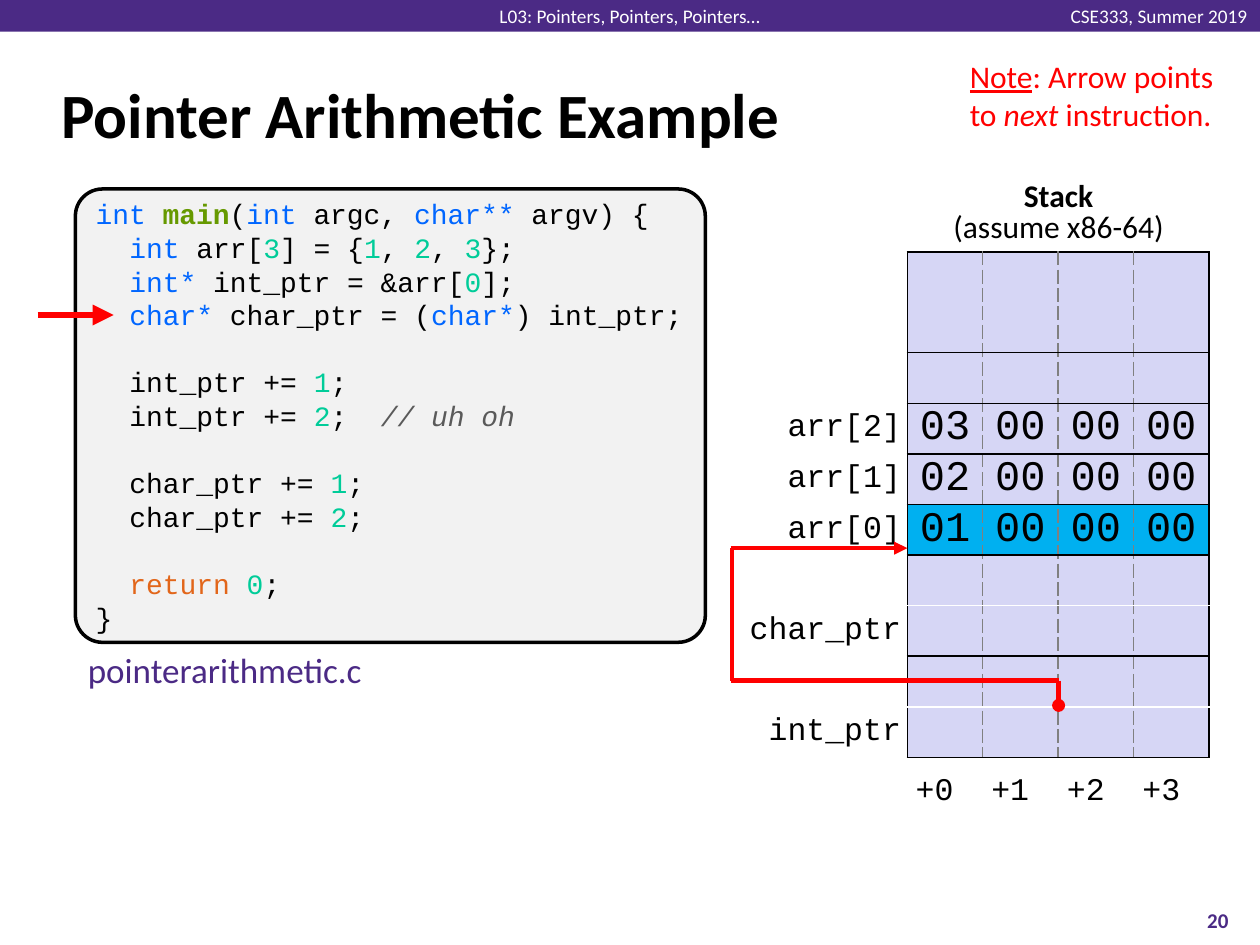
from lxml import etree
from pptx import Presentation, util as u
from pptx.dml.color import RGBColor
from pptx.enum import shapes, text
from pptx.oxml.ns import qn

BLACK = RGBColor(0x00, 0x00, 0x00)
WHITE = RGBColor(0xFF, 0xFF, 0xFF)
PURPLE = RGBColor(0x4B, 0x2A, 0x85)
RED = RGBColor(0xFF, 0x00, 0x00)
GRAY = RGBColor(0x80, 0x80, 0x80)
PANEL = RGBColor(0xF2, 0xF2, 0xF2)
LILAC = RGBColor(0xD6, 0xD6, 0xF5)
SKY = RGBColor(0x00, 0xB0, 0xF0)
BLUE = RGBColor(0x00, 0x66, 0xFF)
GREEN = RGBColor(0x66, 0x99, 0x00)
TEAL = RGBColor(0x00, 0xCC, 0x99)
SLATE = RGBColor(0x5A, 0x5A, 0x5A)
ORANGE = RGBColor(0xE2, 0x66, 0x1A)

LEFT, MID, RIGHT = text.PP_ALIGN.LEFT, text.PP_ALIGN.CENTER, text.PP_ALIGN.RIGHT
MIDDLE = text.MSO_ANCHOR.MIDDLE
MONO = "Courier New"


def write(para, runs, size, color=BLACK, name="Calibri", align=LEFT, **more):
    """Fill a paragraph with (text, format) runs over a shared format."""
    para.alignment = align
    for words, extra in runs:
        run = para.add_run()
        run.text = words
        form = {"name": name, "size": u.Pt(size), "color": color, **more, **extra}
        run.font.color.rgb = form.pop("color")
        for key, val in form.items():
            setattr(run.font, key, val)


def label(box, paras, size, wrap=True, anchor=text.MSO_ANCHOR.TOP, **form):
    """Add a text box at box (cm), one list of runs per paragraph."""
    frame = slide.shapes.add_textbox(*[u.Cm(n) for n in box]).text_frame
    frame.word_wrap, frame.vertical_anchor = wrap, anchor
    for i, runs in enumerate(paras):
        para = frame.add_paragraph() if i else frame.paragraphs[0]
        write(para, runs, size, **form)
    return frame


deck = Presentation()
deck.slide_width, deck.slide_height = u.Cm(25.4), u.Cm(19.05)
slide = deck.slides.add_slide(deck.slide_layouts[6])

# Header band
band = slide.shapes.add_shape(shapes.MSO_SHAPE.RECTANGLE, 0, 0, u.Cm(25.4), u.Cm(0.64))
band.shadow.inherit = False
band.fill.solid()
band.fill.fore_color.rgb = PURPLE
band.line.fill.background()
for left, wide, words, align in [
    (21.28, 4.12, "CSE333, Summer 2019", RIGHT),
    (9.75, 5.9, "L03: Pointers, Pointers, Pointers…", MID),
]:
    frame = label((left, 0.08, wide, 0.48), [[(words, {})]], 11, wrap=False,
                  anchor=MIDDLE, color=WHITE, align=align)
    frame.margin_top = frame.margin_bottom = 0

# Title and page number
label((0.99, 1.22, 23.34, 2.11), [[("Pointer Arithmetic Example", {})]], 36,
      anchor=MIDDLE, bold=True)
label((23.7, 18.03, 1.7, 1.02), [[("20", {})]], 12, anchor=MIDDLE,
      color=PURPLE, align=MID, bold=True)

# Code panel: (indented, gap above, runs)
plain, key, num = {}, {"color": BLUE}, {"color": TEAL}
func = {"color": GREEN, "bold": True}
note = {"color": SLATE, "italic": True}
code = [
    (0, 0, [("int ", key), ("main", func), ("(", plain), ("int ", key),
            ("argc, ", plain), ("char** ", key), ("argv) {", plain)]),
    (1, 0, [("int ", key), ("arr[", plain), ("3", num), ("] = {", plain), ("1", num),
            (", ", plain), ("2", num), (", ", plain), ("3", num), ("};", plain)]),
    (1, 0, [("int* ", key), ("int_ptr = &arr[", plain), ("0", num), ("];", plain)]),
    (1, 0, [("char* ", key), ("char_ptr = (", plain), ("char*", key),
            (") int_ptr;", plain)]),
    (1, 1, [("int_ptr += ", plain), ("1", num), (";", plain)]),
    (1, 0, [("int_ptr += ", plain), ("2", num), (";  ", plain), ("// uh oh", note)]),
    (1, 1, [("char_ptr += ", plain), ("1", num), (";", plain)]),
    (1, 0, [("char_ptr += ", plain), ("2", num), (";", plain)]),
    (1, 1, [("return ", {"color": ORANGE}), ("0", num), (";", plain)]),
    (0, 0, [("}", plain)]),
]
panel = slide.shapes.add_shape(shapes.MSO_SHAPE.ROUNDED_RECTANGLE,
                               u.Cm(1.52), u.Cm(3.81), u.Cm(12.7), u.Cm(9.14))
panel.adjustments[0] = 0.06
panel.shadow.inherit = False
panel.fill.solid()
panel.fill.fore_color.rgb = PANEL
panel.line.color.rgb = BLACK
panel.line.width = u.Pt(2)
frame = panel.text_frame
for side, val in {"margin_top": 0, "margin_right": 0, "margin_bottom": u.Cm(0.13),
                  "vertical_anchor": text.MSO_ANCHOR.TOP}.items():
    setattr(frame, side, val)
for i, (deep, gap, runs) in enumerate(code):
    para = frame.add_paragraph() if i else frame.paragraphs[0]
    para.space_before = u.Cm(0.68 * gap)
    write(para, runs, 16, name=MONO)
    para._p.get_or_add_pPr().set("marL", str(u.Cm(0.68 * deep)))

# Stack table
names = ["", "", "arr[2]", "arr[1]", "arr[0]", "", "char_ptr", "", "int_ptr"]
bytes_ = {2: "03", 3: "02", 4: "01"}
split = {5, 7}  # rows whose lower edge is white, as each pair is one pointer
table = slide.shapes.add_table(9, 5, u.Cm(14.99), u.Cm(5.08),
                               u.Cm(9.4), u.Cm(10.16)).table
table.first_row = table.horz_banding = False
style = table._tbl.tblPr.find(qn("a:tableStyleId"))
style.text = "{2D5ABB26-0587-4C30-8999-92F81FD0307C}"
for c, col in enumerate(table.columns):
    col.width = u.Cm(1.52 if c else 3.3)
for r, row in enumerate(table.rows):
    row.height = u.Cm(1.02 if r else 2.03)
    for c, cell in enumerate(row.cells):
        # The name column has no left margin, so the longest name fits
        for side, val in {"margin_left": u.Cm(0.13 if c else 0),
                          "margin_right": u.Cm(0.13), "margin_top": 0,
                          "margin_bottom": 0, "vertical_anchor": MIDDLE}.items():
            setattr(cell, side, val)
        words = names[r] if c == 0 else "00" if r in bytes_ else ""
        if c == 1:
            words = bytes_.get(r, "")
        if words:
            write(cell.text_frame.paragraphs[0], [(words, {})], 24 if c else 18,
                  name=MONO, align=MID if c else RIGHT)
        edges = {"R": BLACK}
        if c:
            edges = {"L": BLACK if c == 1 else GRAY, "R": BLACK if c == 4 else GRAY,
                     "T": WHITE if r - 1 in split else BLACK,
                     "B": WHITE if r in split else BLACK}
        for side, color in edges.items():
            line = etree.SubElement(cell._tc.get_or_add_tcPr(), qn("a:ln" + side),
                                    w=str(u.Pt(1)))
            fill = etree.SubElement(line, qn("a:solidFill"))
            etree.SubElement(fill, qn("a:srgbClr"), val=str(color))
            etree.SubElement(line, qn("a:prstDash"),
                             val="lgDash" if color == GRAY else "solid")
        if c:
            cell.fill.solid()
            cell.fill.fore_color.rgb = SKY if r == 4 else LILAC
        else:
            cell.fill.background()

# Stack heading
frame = label((18.29, 3.58, 6.1, 1.5),
              [[("Stack", {"bold": True})], [("(assume x86-64)", {})]], 18, align=MID)
for para in frame.paragraphs:
    para.line_spacing = 0.8

# Step arrow, then the path from int_ptr to arr[0]
for x1, y1, x2, y2, wide, tail in [
    (0.76, 6.35, 2.29, 6.35, 4, "triangle"),
    (21.34, 13.72, 21.34, 14.22, 2.5, "oval"),
    (14.73, 13.72, 21.34, 13.72, 2.5, None),
    (14.73, 11.05, 18.29, 11.05, 2.5, "triangle"),
    (14.76, 11.05, 14.76, 13.72, 2.5, None),
]:
    line = slide.shapes.add_connector(shapes.MSO_CONNECTOR.STRAIGHT,
                                      *[u.Cm(n) for n in (x1, y1, x2, y2)])
    line.line.color.rgb = RED
    line.line.width = u.Pt(wide)
    if tail:
        etree.SubElement(line.line._get_or_add_ln(), qn("a:tailEnd"), type=tail)
    etree.SubElement(line._element.spPr, qn("a:effectLst"))

# Note, file name and byte offsets
label((19.3, 1.02, 5.84, 1.8),
      [[("Note", {"underline": True}), (": Arrow points to ", {}),
        ("next", {"italic": True}), (" instruction.", {})]], 18, color=RED)
label((1.52, 12.95, 6.35, 1.12), [[("pointerarithmetic.c", {})]], 20, color=PURPLE)
label((18.21, 15.37, 5.87, 1.02), [[("+0  +1  +2  +3", {})]], 18, wrap=False, name=MONO)

deck.save("out.pptx")
